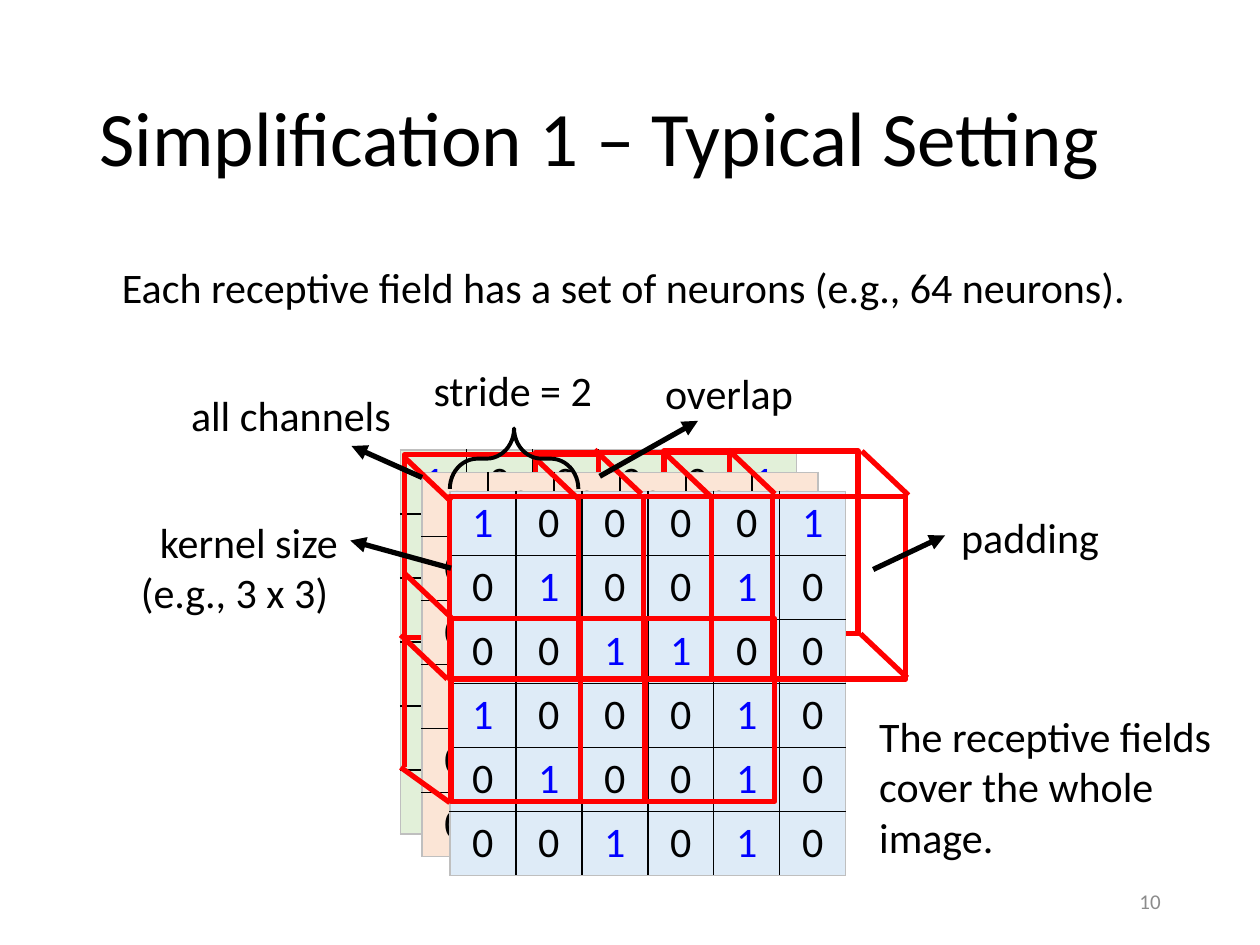
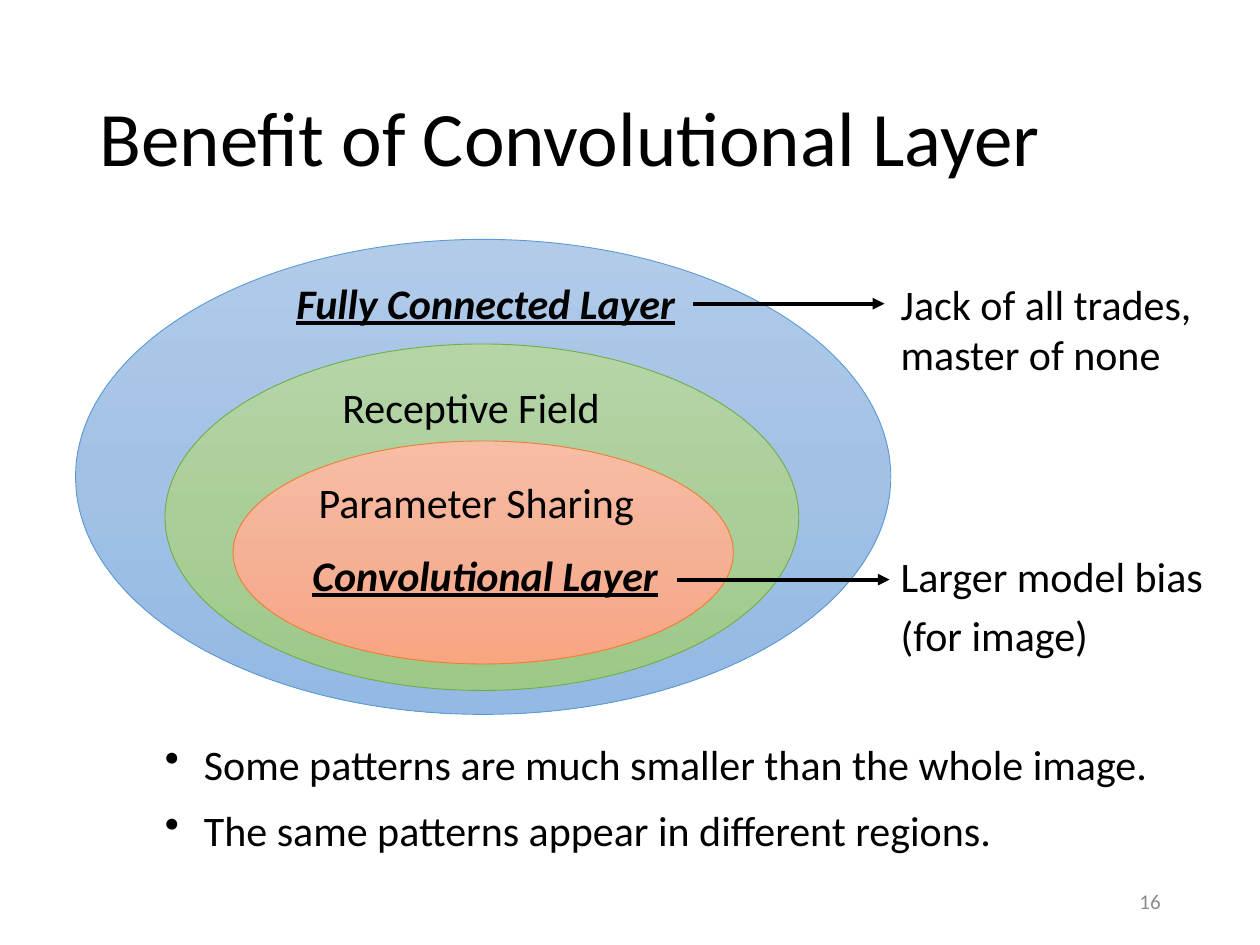
from copy import deepcopy

from lxml import etree
from pptx import Presentation
from pptx import util as u
from pptx.dml.color import RGBColor
from pptx.enum import shapes, text
from pptx.oxml.ns import qn

UNIT = 9144
FONT = "Calibri"
BLACK = RGBColor(0, 0, 0)
GRAY = RGBColor(0x8C, 0x8C, 0x8C)
EDGE = RGBColor(0xBF, 0xBF, 0xBF)
RED = RGBColor(0xFF, 0, 0)
BLUE = RGBColor(0, 0, 0xFF)
GREEN = RGBColor(0xE2, 0xF0, 0xD9)
PEACH = RGBColor(0xFB, 0xE5, 0xD6)
SKY = RGBColor(0xDE, 0xEB, 0xF7)
FULL = ("B1CBE9", "A3C1E5", "93B9E4", "5B9BD5")
FIELD = ("B5D5A7", "AACE9A", "9CC987", "70AD47")
SHARE = ("F7BDA5", "F5B196", "F8A582", "ED7D31")

ALIGN = text.PP_ALIGN
STRONG = {"bold": True, "italic": True, "underline": True}
PIXELS = ("100001", "010010", "001100", "100010", "010010", "001010")
COL, ROW = 52.4, 50.8
KERNEL = (154, 145)
DEPTH = (37, 35)


def px(*vals):
    """Turn px lengths into EMU."""
    return [u.Emu(round(val * UNIT)) for val in vals]


def put(item, vals):
    """Set attributes of an item from a dict."""
    for name, val in vals.items():
        setattr(item, name, val)


def style(para, size=24, color=BLACK, align=ALIGN.LEFT, look=None):
    """Format one paragraph."""
    para.alignment = align
    put(para.font, {"name": FONT, "size": u.Pt(size), **(look or {})})
    para.font.color.rgb = color


def note(slide, box, lines, gap=0, bullet=False, mid=False, **form):
    """Add a text box with one paragraph per line."""
    frame = slide.shapes.add_textbox(*px(*box)).text_frame
    frame.word_wrap = True
    if mid:
        frame.vertical_anchor = text.MSO_ANCHOR.MIDDLE
    frame.text = "\n".join(lines)
    for para in frame.paragraphs:
        style(para, **form)
        para.space_after = u.Pt(gap)
        if bullet:
            prop = para._p.get_or_add_pPr()
            prop.set("marL", str(31 * UNIT))
            prop.set("indent", str(-31 * UNIT))
            mark = etree.Element(qn("a:buChar"), char="•")
            prop.insert_element_before(mark, "a:tabLst", "a:defRPr", "a:extLst")


def line(slide, start, end, color=BLACK, width=3.0, arrow=False):
    """Draw a straight line or arrow."""
    link = slide.shapes.add_connector(
        shapes.MSO_CONNECTOR.STRAIGHT, *px(*start, *end))
    link.line.color.rgb = color
    link.line.width = u.Pt(width)
    prop = link._element.spPr
    if arrow:
        etree.SubElement(prop.find(qn("a:ln")), qn("a:tailEnd"), type="triangle")
    etree.SubElement(prop, qn("a:effectLst"))


def shape(slide, kind, box, color, width):
    """Add an unfilled preset shape."""
    item = slide.shapes.add_shape(kind, *px(*box))
    item.shadow.inherit = False
    item.fill.background()
    item.line.color.rgb = color
    item.line.width = u.Pt(width)
    return item


def start(deck, title, page):
    """Add a slide with its title and page number."""
    slide = deck.slides.add_slide(deck.slide_layouts[5])
    head = slide.shapes.title
    put(head, dict(zip(("left", "top", "width", "height"), px(69, 40, 862, 145))))
    frame = head.text_frame
    frame.text = title
    put(frame, {"vertical_anchor": text.MSO_ANCHOR.MIDDLE, "word_wrap": True,
                "auto_size": text.MSO_AUTO_SIZE.NONE})
    style(frame.paragraphs[0], size=44)
    frame.paragraphs[0].line_spacing = 0.9
    note(slide, (706, 695, 225, 40), [str(page)], mid=True,
         size=12, color=GRAY, align=ALIGN.RIGHT)
    return slide


def border(cell, outer):
    """Draw the four borders of a cell, lighter on outer sides."""
    prop = cell._tc.get_or_add_tcPr()
    for spot, (side, out) in enumerate(zip(("lnL", "lnR", "lnT", "lnB"), outer)):
        edge = etree.Element(qn("a:" + side), w=str(u.Pt(1)))
        fill = etree.SubElement(edge, qn("a:solidFill"))
        etree.SubElement(fill, qn("a:srgbClr"), val=str(EDGE if out else BLACK))
        prop.insert(spot, edge)


def channel(slide, left, top, color):
    """Add one channel of the image as a table of pixels."""
    last = len(PIXELS) - 1
    size = len(PIXELS)
    grid = slide.shapes.add_table(
        size, size, *px(left, top, COL * size, ROW * size)).table
    put(grid, {"first_row": False, "horz_banding": False})
    for y, row in enumerate(PIXELS):
        grid.rows[y].height = px(ROW)[0]
        grid.columns[y].width = px(COL)[0]
        for x, bit in enumerate(row):
            cell = grid.cell(y, x)
            cell.text = bit
            style(cell.text_frame.paragraphs[0], align=ALIGN.CENTER,
                  color=BLUE if bit == "1" else BLACK)
            cell.fill.solid()
            cell.fill.fore_color.rgb = color
            border(cell, (x == 0, x == last, y == 0, y == last))


def frames(slide, left, top, spots):
    """Outline receptive fields at spots relative to a corner."""
    for x, y in spots:
        shape(slide, shapes.MSO_SHAPE.RECTANGLE,
              (left + x, top + y, *KERNEL), RED, 3)


def stack(slide, left, top):
    """Draw the channels with the receptive fields over them."""
    channel(slide, left, top, GREEN)
    frames(slide, left, top, [(209, 1), (107, 2), (3, 4)])
    channel(slide, left + 17, top + 18, PEACH)
    channel(slide, left + 39, top + 33, SKY)
    frames(slide, left, top,
           [(39, 37), (141, 37), (247, 37), (40, 134), (143, 134)])
    for x, y in ((0, 147), (3, 6), (154, 0), (260, 0), (105, 5),
                 (366, 1), (365, 146), (3, 98), (209, 2)):
        x, y = left + x, top + y
        line(slide, (x, y), (x + DEPTH[0], y + DEPTH[1]), RED)
    line(slide, (left, top + 252), (left + 39, top + 280), RED)
    line(slide, (left + 3, top + 94), (left + 3, top + 252), RED)


def labels(slide, left, top):
    """Name the parts of the stack with arrows and a brace."""
    for tail, tip in (((40, 94), (-40, 72)), ((17, 22), (-39, -3)),
                      ((375, 95), (432, 68)), ((158, 21), (236, -23))):
        line(slide, (left + tail[0], top + tail[1]),
             (left + tip[0], top + tip[1]), arrow=True)
    brace = shape(slide, shapes.MSO_SHAPE.RIGHT_BRACE,
                  (left + 66, top - 44, 48, 102), BLACK, 2.25)
    brace.rotation = 270
    brace.adjustments[0] = 0.456
    for x, y, wide, high, words, align in (
            (-187, -53, 200, 50, "all channels", ALIGN.CENTER),
            (-11, -73, 200, 50, "stride = 2", ALIGN.CENTER),
            (-257, 48, 217, 91, "kernel size (e.g., 3 x 3) ", ALIGN.RIGHT),
            (435, 44, 164, 50, "padding", ALIGN.LEFT),
            (200, -70, 164, 50, "overlap", ALIGN.LEFT),
            (370, 202, 300, 131, "The receptive fields cover the whole image.",
             ALIGN.LEFT)):
        note(slide, (left + x, top + y, wide, high), [words], align=align)


def setting(deck):
    """Build the slide on the typical setting."""
    slide = start(deck, "Simplification 1 – Typical Setting", 10)
    note(slide, (78, 203, 834, 50),
         ["Each receptive field has a set of neurons (e.g., 64 neurons)."],
         align=ALIGN.CENTER)
    stack(slide, 318, 357)
    labels(slide, 318, 357)


def oval(slide, box, tones):
    """Add an ellipse with a downward gradient of three tones."""
    *shades, edge = [RGBColor.from_string(tone) for tone in tones]
    item = shape(slide, shapes.MSO_SHAPE.OVAL, box, edge, 0.5)
    item.fill.gradient()
    item.fill.gradient_angle = 270
    stops = item._element.spPr.find(".//" + qn("a:gsLst"))
    stops.insert(1, deepcopy(stops[0]))
    for stop, shade, spot in zip(item.fill.gradient_stops, shades, (0, 0.5, 1)):
        stop.color.rgb = shade
        stop.position = spot


def nest(slide, left, top):
    """Draw the nested sets with their names and remarks."""
    for x, y, wide, high, tones in ((0, 0, 647, 377, FULL),
                                    (71, 83, 503, 275, FIELD),
                                    (125, 160, 397, 177, SHARE)):
        oval(slide, (left + x, top + y, wide, high), tones)
    for x, y, wide, words, align, look in (
            (127, 25, 397, "Fully Connected Layer", ALIGN.CENTER, STRONG),
            (202, 108, 256, "Receptive Field", ALIGN.LEFT, None),
            (183, 183, 295, "Parameter Sharing", ALIGN.LEFT, None),
            (178, 241, 295, "Convolutional Layer", ALIGN.LEFT, STRONG)):
        note(slide, (left + x, top + y, wide, 50), [words],
             align=align, look=look)
    for x, y, end, drop, gap, lines in (
            (490, 51, 642, -25, 0, ["Jack of all trades,", "master of none"]),
            (477, 270, 646, -28, 5, ["Larger model bias", "(for image)"])):
        line(slide, (left + x, top + y), (left + end, top + y),
             width=2.25, arrow=True)
        note(slide, (left + 645, top + y + drop, 287, 91), lines, gap=gap)


def benefit(deck):
    """Build the slide on the benefit of the layer."""
    slide = start(deck, "Benefit of Convolutional Layer", 16)
    nest(slide, 60, 190)
    note(slide, (121, 581, 828, 103),
         ["Some patterns are much smaller than the whole image.",
          "The same patterns appear in different regions."],
         gap=9, bullet=True)


def main():
    """Build and save the deck."""
    deck = Presentation()
    deck.slide_width, deck.slide_height = px(1000, 750)
    setting(deck)
    benefit(deck)
    deck.save("out.pptx")


if __name__ == "__main__":
    main()
